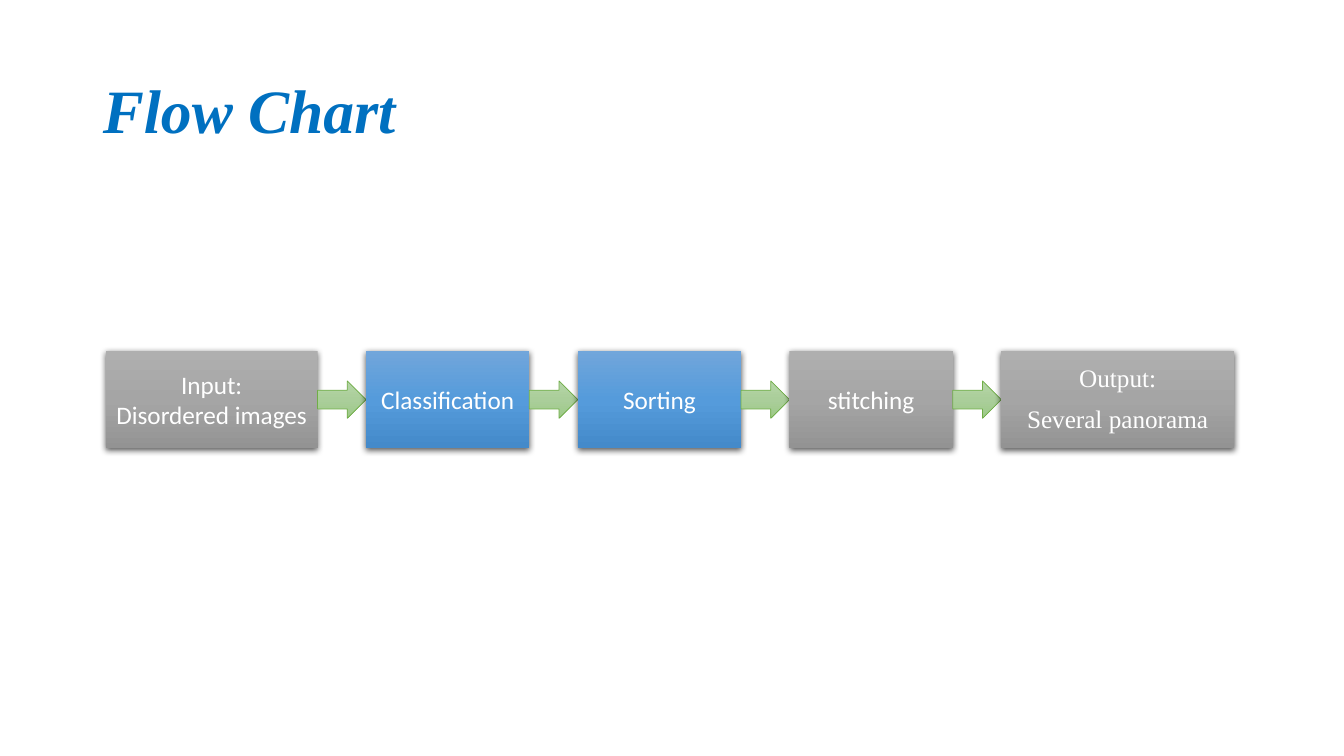
import copy
from dataclasses import dataclass

import pptx
import pptx.dml.color
import pptx.enum.shapes
import pptx.enum.text
import pptx.oxml
import pptx.oxml.ns
import pptx.util
from pptx.util import Inches, Pt

RGBColor = pptx.dml.color.RGBColor
MSO_SHAPE = pptx.enum.shapes.MSO_SHAPE
PP_ALIGN = pptx.enum.text.PP_ALIGN
MSO_ANCHOR = pptx.enum.text.MSO_ANCHOR
qn = pptx.oxml.ns.qn

TITLE_BLUE = RGBColor(0x00, 0x70, 0xC0)
WHITE = RGBColor(0xFF, 0xFF, 0xFF)
ARROW_LINE = RGBColor(0x70, 0xAD, 0x47)
GRAY = (RGBColor(0xAF, 0xAF, 0xAF), RGBColor(0xA5, 0xA5, 0xA5), RGBColor(0x93, 0x93, 0x93))
BLUE = (RGBColor(0x71, 0xA6, 0xDB), RGBColor(0x55, 0x9B, 0xDB), RGBColor(0x44, 0x8A, 0xCA))
GREEN = (RGBColor(0xB5, 0xD5, 0xA7), RGBColor(0xAA, 0xCE, 0x9A), RGBColor(0x9C, 0xC9, 0x87))

FLOW_LEFT, BOX_TOP, BOX_HEIGHT = 1.05, 3.48, 0.97
ARROW_WIDTH, ARROW_HEIGHT = 0.48, 0.37
SHADOW_XML = (
    f'<a:outerShdw {pptx.oxml.ns.nsdecls("a")} blurRad="57150" dist="19050" dir="5400000"'
    ' algn="ctr" rotWithShape="0"><a:srgbClr val="000000"><a:alpha val="63000"/></a:srgbClr>'
    '</a:outerShdw>'
)


@dataclass
class Step:
    lines: tuple[str, ...]
    width: float = 1.62
    colors: tuple[RGBColor, ...] = GRAY
    font: str = "Calibri"
    line_spacing: float = 1.0
    space_before: float = 0


STEPS = [
    Step(("Input:", "Disordered images"), width=2.1),
    Step(("Classification",), colors=BLUE),
    Step(("Sorting",), colors=BLUE),
    Step(("stitching",)),
    Step(("Output:", "Several panorama"), width=2.31, font="Times New Roman",
         line_spacing=0.9, space_before=10),
]


def fill_gradient(sp, colors: tuple[RGBColor, ...]) -> None:
    """Fill from top to bottom with three evenly spaced colours."""
    sp.fill.gradient()
    sp.fill.gradient_angle = 270
    stops = sp._element.spPr.find(qn("a:gradFill")).find(qn("a:gsLst"))
    stops.append(copy.deepcopy(stops[0]))
    for i, (stop, color) in enumerate(zip(sp.fill.gradient_stops, colors)):
        stop.position = i / 2
        stop.color.rgb = color


def add_title(s) -> None:
    title = s.shapes.title
    title.left, title.top = Inches(0.92), Inches(0.4)
    title.width, title.height = Inches(11.5), Inches(1.45)
    tf = title.text_frame
    tf.text = "Flow Chart"
    tf.vertical_anchor = MSO_ANCHOR.MIDDLE
    p = tf.paragraphs[0]
    p.alignment = PP_ALIGN.LEFT
    p.line_spacing = 0.9
    p.font.name, p.font.size = "Times New Roman", Pt(44)
    p.font.bold = p.font.italic = True
    p.font.color.rgb = TITLE_BLUE


def add_step(s, step: Step, left: float) -> None:
    sp = s.shapes.add_shape(MSO_SHAPE.RECTANGLE, Inches(left), Inches(BOX_TOP),
                            Inches(step.width), Inches(BOX_HEIGHT))
    fill_gradient(sp, step.colors)
    sp.line.fill.background()
    sp.shadow.inherit = False
    effects = sp._element.spPr.find(qn("a:effectLst"))
    effects.append(pptx.oxml.parse_xml(SHADOW_XML))
    tf = sp.text_frame
    tf.text = "\n".join(step.lines)
    tf.word_wrap = True
    tf.vertical_anchor = MSO_ANCHOR.MIDDLE
    for p in tf.paragraphs:
        p.alignment = PP_ALIGN.CENTER
        p.line_spacing = step.line_spacing
        p.space_before = Pt(step.space_before)
        p.font.name, p.font.size = step.font, Pt(18)
        p.font.color.rgb = WHITE


def add_arrow(s, left: float) -> None:
    top = BOX_TOP + (BOX_HEIGHT - ARROW_HEIGHT) / 2
    sp = s.shapes.add_shape(MSO_SHAPE.RIGHT_ARROW, Inches(left), Inches(top),
                            Inches(ARROW_WIDTH), Inches(ARROW_HEIGHT))
    fill_gradient(sp, GREEN)
    sp.line.color.rgb = ARROW_LINE
    sp.line.width = Pt(0.5)
    sp.shadow.inherit = False


def main() -> None:
    prs = pptx.Presentation()
    prs.slide_width, prs.slide_height = Inches(13.33), Inches(7.5)
    s = prs.slides.add_slide(prs.slide_layouts[5])
    add_title(s)
    left = FLOW_LEFT
    for i, step in enumerate(STEPS):
        if i > 0:
            add_arrow(s, left)
            left += ARROW_WIDTH
        add_step(s, step, left)
        left += step.width
    prs.save("out.pptx")


if __name__ == "__main__":
    main()
